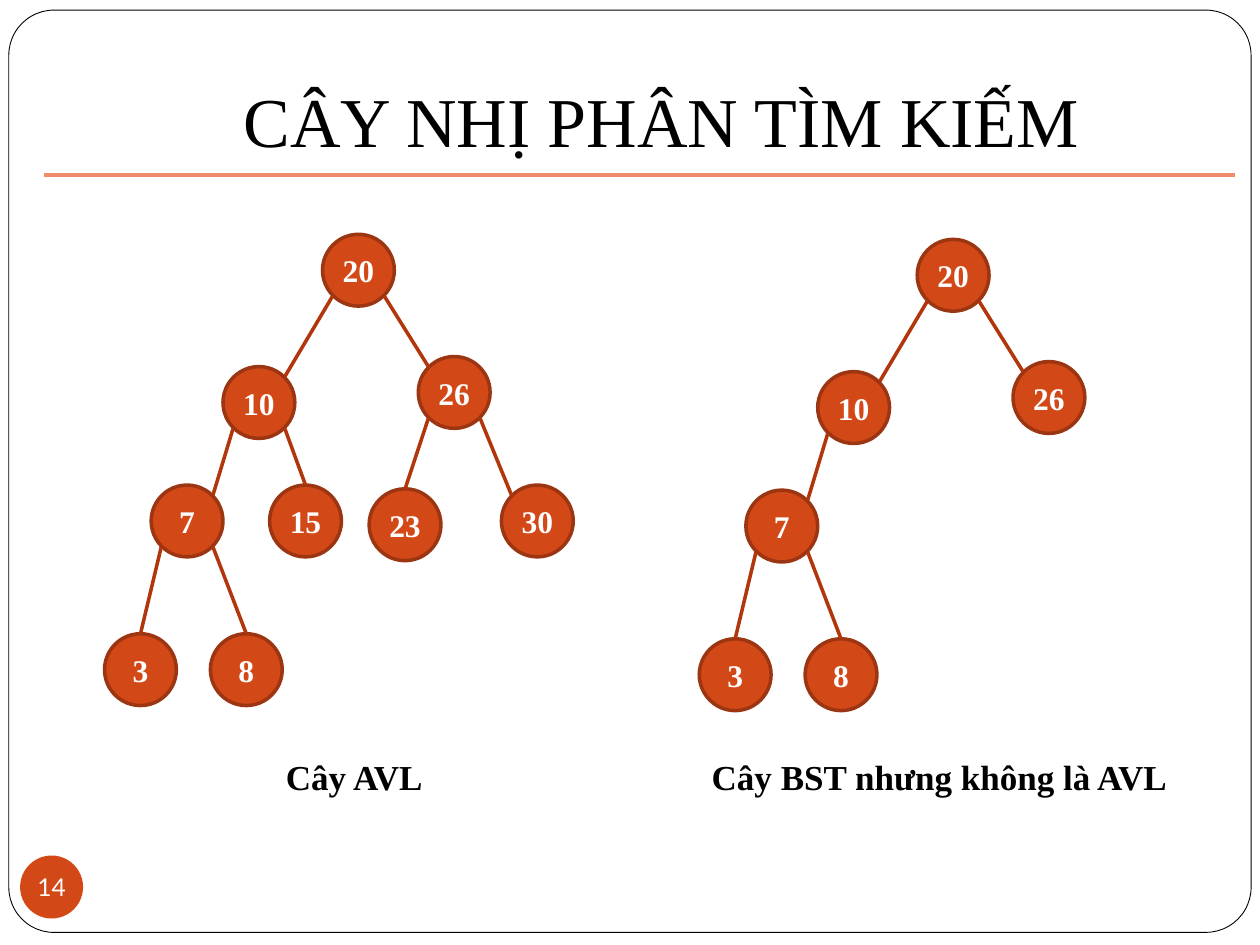
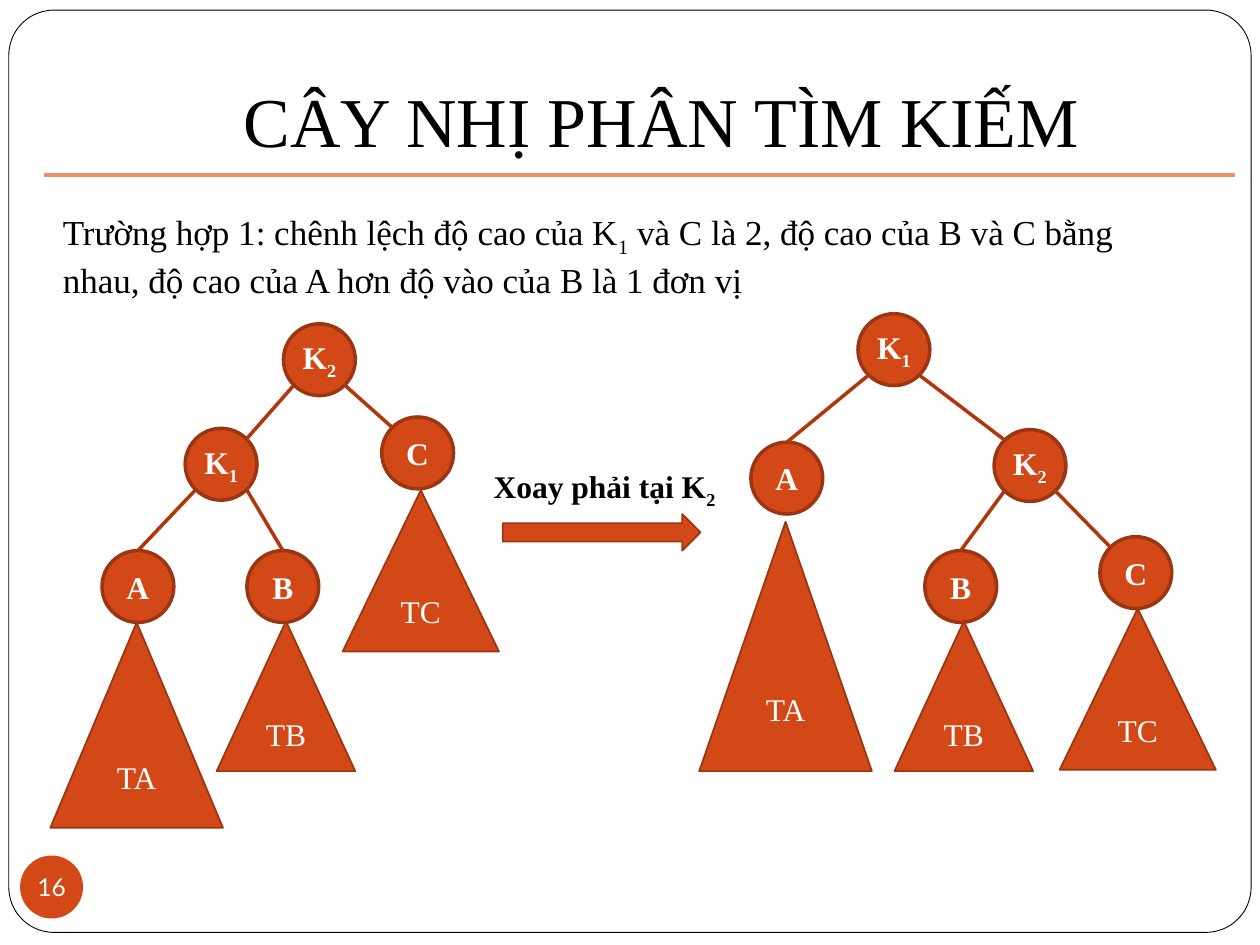
from lxml import etree
from pptx import Presentation
from pptx.dml.color import RGBColor
from pptx.enum.shapes import MSO_CONNECTOR, MSO_SHAPE
from pptx.enum.text import MSO_ANCHOR, PP_ALIGN
from pptx.oxml.ns import qn
from pptx.util import Pt

PX = 9144
LINE = MSO_CONNECTOR.STRAIGHT
ROUND = MSO_SHAPE.ROUNDED_RECTANGLE
OVAL = MSO_SHAPE.OVAL
NODE = MSO_SHAPE.FLOWCHART_CONNECTOR
CONE = MSO_SHAPE.ISOSCELES_TRIANGLE
ARROW = MSO_SHAPE.RIGHT_ARROW
MID, BASE, TOP = MSO_ANCHOR.MIDDLE, MSO_ANCHOR.BOTTOM, MSO_ANCHOR.TOP
LEFT, CENTER = PP_ALIGN.LEFT, PP_ALIGN.CENTER

SERIF, SANS = "Times New Roman", "Lato"
BLACK, WHITE = "000000", "FFFFFF"
FILL, EDGE, LINK, RULE = "D34817", "9C3511", "B1360B", "EF8C6A"
TITLE = "CÂY NHỊ PHÂN TÌM KIẾM"
SIZE, NEAR = 57, 8

AVL = [
    ("20", 173, 0, None, False),
    ("10", 94, 105, "20", False),
    ("26", 249, 97, "20", False),
    ("7", 37, 199, "10", False),
    ("15", 131, 199, "10", True),
    ("23", 210, 202, "26", True),
    ("30", 315, 199, "26", False),
    ("3", 0, 317, "7", True),
    ("8", 84, 317, "7", True),
]
BST = [node for node in AVL if node[0] not in ("15", "23", "30")]

OLD = [
    ("K_2", 185, 0, None, False),
    ("K_1", 107, 83, "K_2", False),
    ("C", 263, 74, "K_2", False),
    ("A", 41, 180, "K_1", True),
    ("B", 156, 180, "K_1", True),
]
NEW = [
    ("K_1", 126, 0, None, False),
    ("A", 41, 102, "K_1", True),
    ("K_2", 234, 92, "K_1", False),
    ("B", 179, 188, "K_2", True),
    ("C", 318, 177, "K_2", False),
]
CONES_OLD = [("TA", 0, 237, 137, 163), ("TB", 132, 236, 110, 119),
             ("TC", 232, 132, 124, 128)]
CONES_NEW = [("TA", 0, 165, 137, 198), ("TB", 155, 244, 110, 119),
             ("TC", 286, 234, 124, 128)]


def scale(*sizes):
    return [size * PX for size in sizes]


def color(code):
    return RGBColor.from_string(code)


def write(shape, text, size, tint, bold=False, font=SERIF, align=CENTER,
          anchor=MID, inset=(10, 5, 10, 5), wrap=True):
    frame = shape.text_frame
    frame.word_wrap = wrap
    frame.vertical_anchor = anchor
    (frame.margin_left, frame.margin_top,
     frame.margin_right, frame.margin_bottom) = scale(*inset)
    para = frame.paragraphs[0]
    para.alignment = align
    para.font.name = font
    para.font.size = Pt(size)
    para.font.bold = bold
    para.font.color.rgb = color(tint)
    first, *rest = text.split("_")
    para.add_run().text = first
    for part in rest:
        low = para.add_run()
        low.text = part[0]
        low._r.get_or_add_rPr().set("baseline", "-25000")
        if part[1:]:
            para.add_run().text = part[1:]


def label(slide, box, text, size, **style):
    shape = slide.shapes.add_textbox(*scale(*box))
    write(shape, text, size, BLACK, **style)


def draw(slide, kind, box, fill, edge=None, width=1):
    shape = slide.shapes.add_shape(kind, *scale(*box))
    shape.shadow.inherit = False
    shape.fill.solid()
    shape.fill.fore_color.rgb = color(fill)
    if edge:
        shape.line.color.rgb = color(edge)
        shape.line.width = Pt(width)
    else:
        shape.line.fill.background()
    return shape


def link(slide, start, end, tint):
    line = slide.shapes.add_connector(LINE, *scale(*start, *end))
    line.line.color.rgb = color(tint)
    line.line.width = Pt(2)
    etree.SubElement(line._element.spPr, qn("a:effectLst"))
    return line


def base(deck, number):
    slide = deck.slides.add_slide(deck.slide_layouts[6])
    frame = draw(slide, ROUND, (7, 8, 986, 732), WHITE, BLACK, 0.5)
    frame.adjustments[0] = 0.049
    label(slide, (100, 13, 850, 125), TITLE, 40, anchor=BASE,
          inset=(10, 5, 10, 10))
    link(slide, (35, 139), (980, 139), RULE)
    badge = draw(slide, OVAL, (16, 679, 50, 50), FILL)
    write(badge, number, 14, WHITE, font=SANS, inset=(0,) * 4, wrap=False)
    return slide


def tree(slide, left, top, nodes, cones=()):
    for text, x, y, width, height in cones:
        cone = draw(slide, CONE, (left + x, top + y, width, height), FILL, EDGE)
        write(cone, text, 18, WHITE)
    spots = {}
    for text, x, y, above, peak in nodes:
        x, y = left + x, top + y
        spots[text] = x, y
        ball = draw(slide, NODE, (x, y, SIZE, SIZE), FILL, EDGE, 2)
        write(ball, text, 18, WHITE, bold=True, inset=(0,) * 4)
        if above is None:
            continue
        over, high = spots[above]
        near, far = (NEAR, SIZE - NEAR) if x < over else (SIZE - NEAR, NEAR)
        line = link(slide, (over + near, high + SIZE - NEAR),
                    (x + far, y + NEAR), LINK)
        if peak:
            line.end_connect(ball, 0)


def compare(deck):
    slide = base(deck, "14")
    tree(slide, 83, 186, AVL)
    tree(slide, 555, 190, BST)
    for text, left, width in [("Cây AVL", 217, 182),
                              ("Cây BST nhưng không là AVL", 555, 417)]:
        label(slide, (left, 595, width, 44), text, 20, bold=True,
              align=LEFT, anchor=TOP)


def rotate(deck):
    slide = base(deck, "16")
    label(slide, (40, 162, 869, 77),
          "Trường hợp 1: chênh lệch độ cao của K_1 và C là 2, độ cao của B "
          "và C bằng nhau, độ cao của A hơn độ vào của B là 1 đơn vị",
          20, align=LEFT, anchor=TOP)
    tree(slide, 40, 257, OLD, CONES_OLD)
    tree(slide, 555, 249, NEW, CONES_NEW)
    draw(slide, ARROW, (399, 408, 157, 29), FILL, EDGE)
    label(slide, (382, 366, 197, 40), "Xoay phải tại K_2", 18, bold=True,
          align=LEFT, anchor=TOP)


def main():
    deck = Presentation()
    deck.slide_width, deck.slide_height = scale(1000, 750)
    compare(deck)
    rotate(deck)
    deck.save("out.pptx")


if __name__ == "__main__":
    main()
